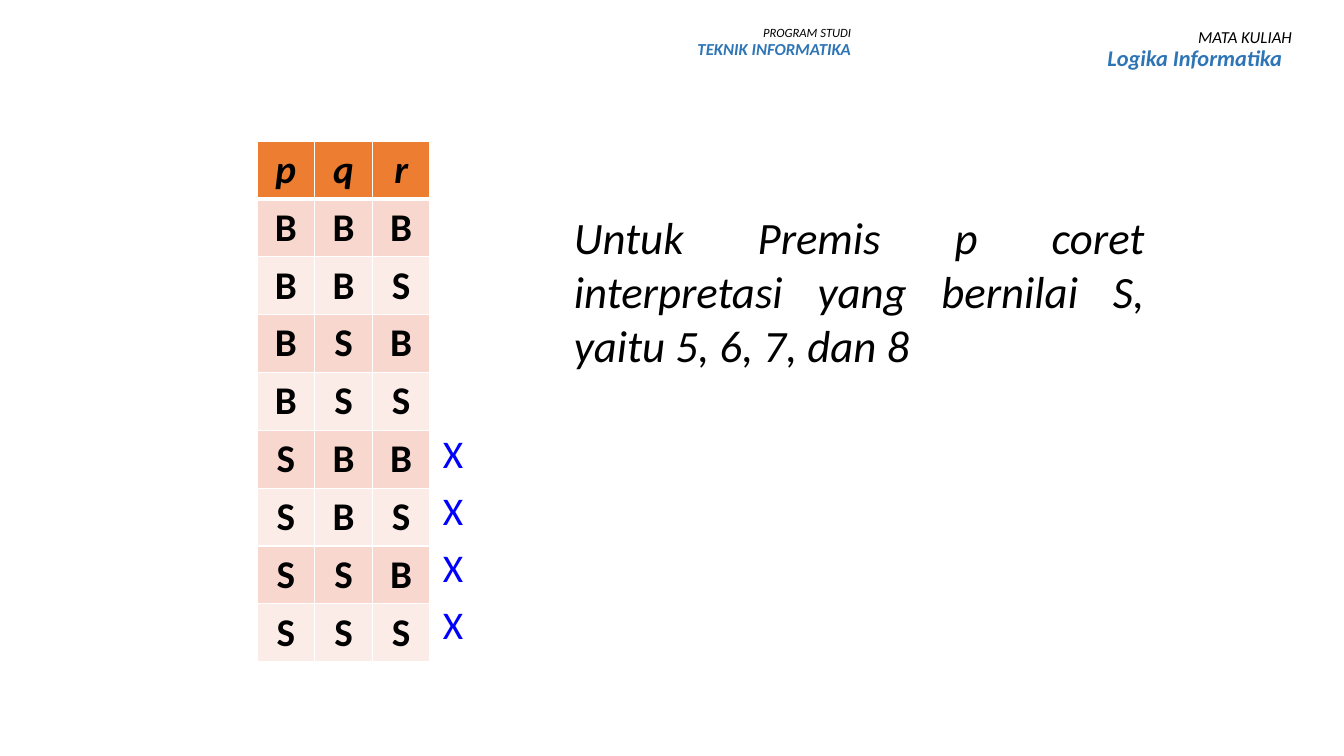
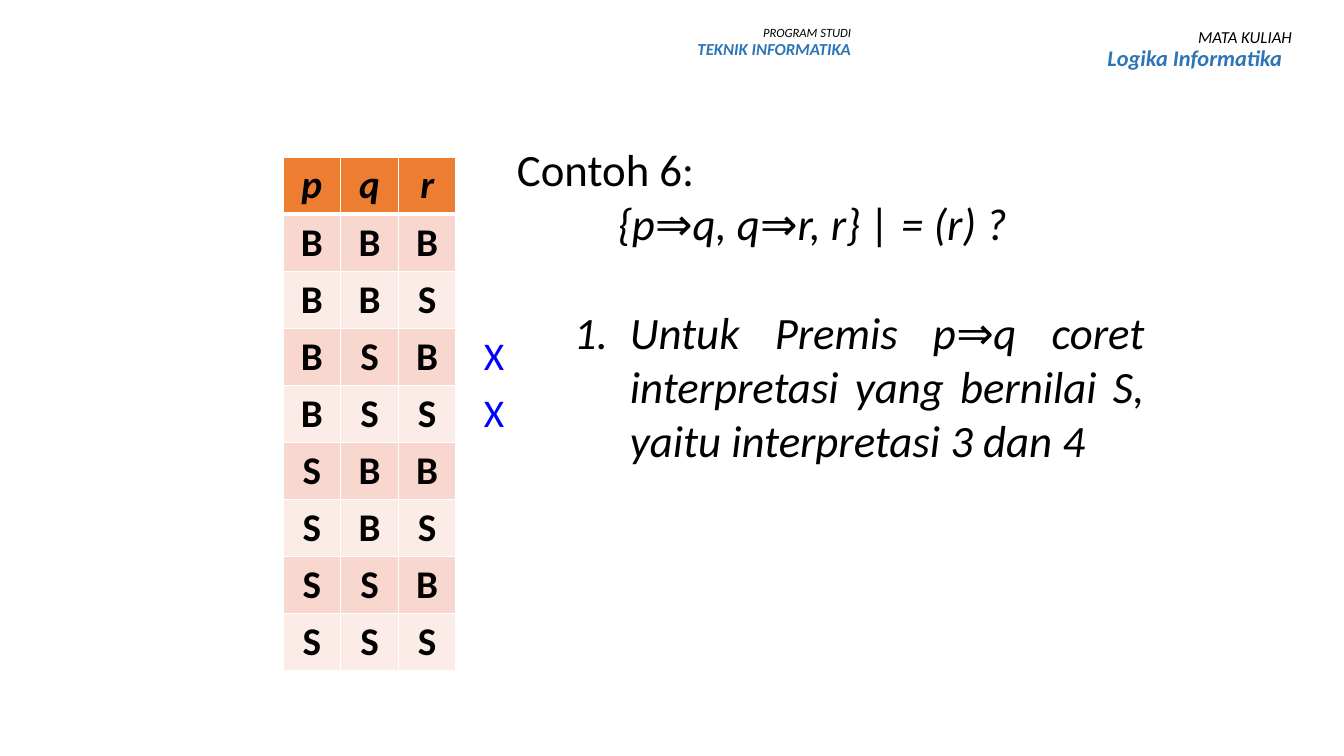
import itertools

import pptx
import pptx.dml.color
import pptx.enum.text
import pptx.oxml
import pptx.oxml.ns
import pptx.util

FONT = "Calibri"
BLACK, BLUE, MARK = "000000", "2E75B6", "0000FF"
WHITE, HEAD, BANDS = "FFFFFF", "ED7D31", ("F8D7CE", "FCECE8")
PLAIN = "{2D5ABB26-0587-4C30-8999-92F81FD0307C}"  # table style without grid
ALIGN = pptx.enum.text.PP_ALIGN
ROWS = list(itertools.product("BS", repeat=3))


def px(n):
    return pptx.util.Emu(round(n * 914400 / 100.8))


def rgb(code):
    return pptx.dml.color.RGBColor.from_string(code)


def style(para, size, color=BLACK, bold=False, italic=False, align=ALIGN.LEFT):
    para.alignment = align
    for run in para.runs:
        font = run.font
        font.name, font.size = FONT, pptx.util.Pt(size)
        font.bold, font.italic = bold, italic
        font.color.rgb = rgb(color)


def indent(para, **sides):
    for name, n in sides.items():
        para._p.get_or_add_pPr().set(name, str(px(n)))


def number(para):
    indent(para, marL=56, indent=-56)
    tag = pptx.oxml.ns.qn("a:buAutoNum")
    mark = para._p.get_or_add_pPr().makeelement(tag, {"type": "arabicPeriod"})
    para._p.get_or_add_pPr().append(mark)


def add_text(slide, box, lines):
    """Place a text box and return its paragraphs."""
    frame = slide.shapes.add_textbox(*map(px, box)).text_frame
    frame.word_wrap = True
    frame.text = "\n".join(lines)
    return frame.paragraphs


def add_grid(slide, box, rows, cols):
    """Place an unstyled table with equal rows and columns."""
    left, top, width, height = box
    table = slide.shapes.add_table(rows, cols, *map(px, box)).table
    table._tbl.tblPr.find(pptx.oxml.ns.qn("a:tableStyleId")).text = PLAIN
    for row in table.rows:
        row.height = px(height / rows)
    for col in table.columns:
        col.width = px(width / cols)
    for cell in table.iter_cells():
        cell.margin_top = cell.margin_bottom = px(4)
        cell.vertical_anchor = pptx.enum.text.MSO_ANCHOR.MIDDLE
        cell.fill.background()
    return table


def edge(cell, low):
    """Draw white borders; low is the width of the bottom one."""
    props = cell._tc.get_or_add_tcPr()
    for i, (side, width) in enumerate(zip("LRTB", (1, 1, 1, low))):
        props.insert(i, pptx.oxml.parse_xml(
            f'<a:ln{side} {pptx.oxml.ns.nsdecls("a")} w="{pptx.util.Pt(width)}">'
            f'<a:solidFill><a:srgbClr val="{WHITE}"/></a:solidFill></a:ln{side}>'))


def truth(slide, box):
    """Truth table of p, q and r."""
    rows = [tuple("pqr")] + ROWS
    table = add_grid(slide, box, len(rows), 3)
    for r, row in enumerate(rows):
        for c, word in enumerate(row):
            cell = table.cell(r, c)
            cell.text = word
            style(cell.text_frame.paragraphs[0], 28, bold=True,
                  italic=r == 0, align=ALIGN.CENTER)
            cell.fill.solid()
            cell.fill.fore_color.rgb = rgb(BANDS[(r - 1) % 2] if r else HEAD)
            edge(cell, 1 if r else 3)


def marks(slide, box, struck):
    """Column of crosses beside the struck rows."""
    table = add_grid(slide, box, len(ROWS) + 1, 1)
    for r in struck:
        cell = table.cell(r, 0)
        cell.text = "X"
        style(cell.text_frame.paragraphs[0], 28, MARK, align=ALIGN.CENTER)


def label(slide, box, lines, sizes, gap=0):
    """Right-aligned pair of lines in the header."""
    small, big = add_text(slide, box, lines)
    style(small, sizes[0], italic=True, align=ALIGN.RIGHT)
    style(big, sizes[1], BLUE, True, True, ALIGN.RIGHT)
    small.line_spacing = big.line_spacing = 0.9
    indent(big, marR=gap)


def header(slide):
    label(slide, (608, 22, 253, 56),
          ("PROGRAM STUDI", "TEKNIK INFORMATIKA"), (9, 12))
    label(slide, (923, 24, 379, 75),
          ("MATA KULIAH", "Logika Informatika"), (12, 16), gap=10)


def note(slide, box, text, listed=False):
    """Justified explanation, numbered on request."""
    para, = add_text(slide, box, [text])
    if listed:
        number(para)
    style(para, 32, italic=True, align=ALIGN.JUSTIFY)


def task(slide, box):
    """Example title and the formula to test."""
    title, rule = add_text(slide, box, ("Contoh 6:", "{p⇒q, q⇒r, r} | = (r) ?"))
    style(title, 32)
    indent(rule, marL=101)
    style(rule, 32, italic=True)


def main():
    deck = pptx.Presentation()
    deck.slide_width, deck.slide_height = px(1344), px(756)
    first, second = (deck.slides.add_slide(deck.slide_layouts[6])
                     for _ in range(2))

    # Premise p
    truth(first, (257, 141, 173, 521))
    note(first, (564, 205, 591, 173),
         "Untuk Premis p coret interpretasi yang bernilai S, "
         "yaitu 5, 6, 7, dan 8")
    marks(first, (423, 141, 60, 514), (5, 6, 7, 8))
    header(first)

    # Example 6
    task(second, (507, 137, 837, 119))
    truth(second, (283, 157, 173, 514))
    note(second, (564, 300, 591, 228),
         "Untuk Premis p⇒q coret interpretasi yang bernilai S, "
         "yaitu interpretasi 3 dan 4", listed=True)
    marks(second, (464, 157, 60, 514), (3, 4))
    header(second)

    deck.save("out.pptx")


if __name__ == "__main__":
    main()
